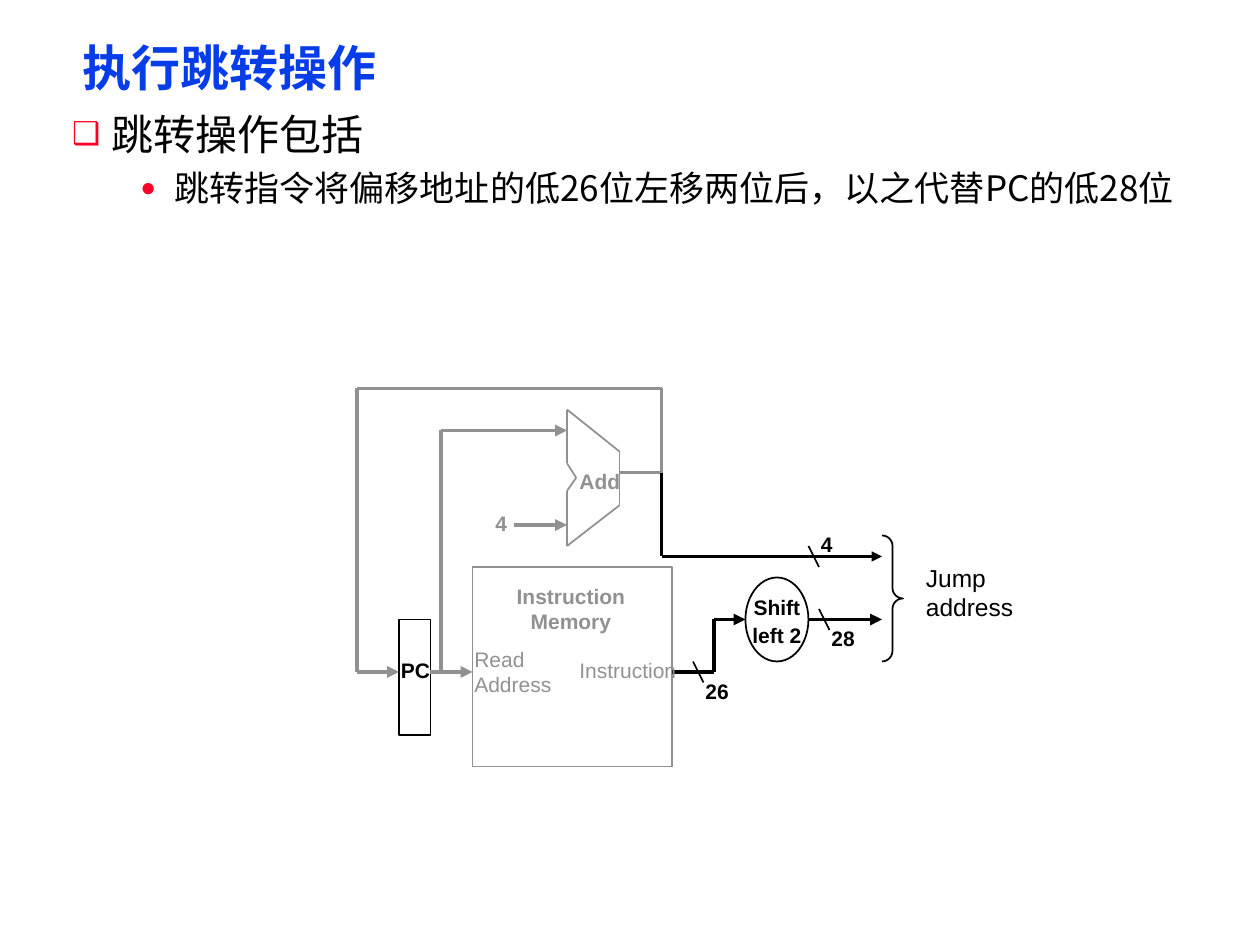
from dataclasses import dataclass
from itertools import pairwise
from typing import Optional

from lxml import etree
from pptx import Presentation
from pptx.dml.color import RGBColor
from pptx.enum.shapes import MSO_CONNECTOR, MSO_SHAPE
from pptx.enum.text import MSO_ANCHOR, MSO_AUTO_SIZE, PP_ALIGN
from pptx.oxml.ns import qn
from pptx.util import Emu, Pt

STRAIGHT = MSO_CONNECTOR.STRAIGHT
RECTANGLE, OVAL, BRACE = MSO_SHAPE.RECTANGLE, MSO_SHAPE.OVAL, MSO_SHAPE.RIGHT_BRACE
LEFT, CENTER = PP_ALIGN.LEFT, PP_ALIGN.CENTER
TOP, MIDDLE = MSO_ANCHOR.TOP, MSO_ANCHOR.MIDDLE
GROW, FIXED = MSO_AUTO_SIZE.SHAPE_TO_FIT_TEXT, MSO_AUTO_SIZE.NONE
EMU_PER_PX = 9525
GRAY, BLACK, BLUE, RED = "919191", "000000", "063DE8", "FC0128"
LATIN_FONT, CHINESE_FONT = "Arial", "Noto Sans CJK SC"


@dataclass(frozen=True)
class Line:
    text: str
    size: int = 12
    color: str = BLACK
    bold: bool = False
    font: str = LATIN_FONT
    align: PP_ALIGN = LEFT
    spacing: Optional[float] = None
    before: int = 0
    bullet: str = ""
    level: int = 0
    margin: int = 0
    hanging: int = 0


@dataclass(frozen=True)
class TextBox:
    box: tuple[int, int, int, int]
    lines: tuple[Line, ...]
    insets: Optional[tuple[int, int]] = None
    wrap: bool = False
    anchor: MSO_ANCHOR = TOP
    auto_size: MSO_AUTO_SIZE = FIXED


@dataclass(frozen=True)
class Wire:
    points: tuple[tuple[int, int], ...]
    color: str = BLACK
    width: float = 2.25
    arrow: bool = False


@dataclass(frozen=True)
class Block:
    kind: MSO_SHAPE
    box: tuple[int, int, int, int]
    color: str = BLACK


def px(value: int) -> Emu:
    return Emu(value * EMU_PER_PX)


def rgb(color: str) -> RGBColor:
    return RGBColor.from_string(color)


def set_values(target, values: dict) -> None:
    for name, value in values.items():
        setattr(target, name, value)


def set_outline(shape, color: str, width: float) -> None:
    shape.line.color.rgb = rgb(color)
    shape.line.width = Pt(width)


def add_bullet(paragraph, line: Line) -> None:
    properties = paragraph._p.get_or_add_pPr()
    properties.set("marL", str(px(line.margin)))
    properties.set("indent", str(-px(line.hanging)))
    color = etree.SubElement(properties, qn("a:buClr"))
    etree.SubElement(color, qn("a:srgbClr"), val=RED)
    etree.SubElement(properties, qn("a:buSzPct"), val="75000")
    etree.SubElement(properties, qn("a:buFont"), typeface=LATIN_FONT)
    etree.SubElement(properties, qn("a:buChar"), char=line.bullet)


def write_line(paragraph, line: Line) -> None:
    if line.bullet:
        add_bullet(paragraph, line)
    set_values(paragraph, {
        "alignment": line.align, "line_spacing": line.spacing,
        "space_before": Pt(line.before), "level": line.level,
    })
    run = paragraph.add_run()
    run.text = line.text
    set_values(run.font, {"name": line.font, "size": Pt(line.size), "bold": line.bold})
    run.font.color.rgb = rgb(line.color)
    if not line.text.isascii():
        etree.SubElement(run._r.get_or_add_rPr(), qn("a:ea"), typeface=CHINESE_FONT)


def draw_text(slide, item: TextBox) -> None:
    frame = slide.shapes.add_textbox(*map(px, item.box)).text_frame
    set_values(frame, {
        "word_wrap": item.wrap, "vertical_anchor": item.anchor,
        "auto_size": item.auto_size,
    })
    if item.insets:
        side, edge = map(px, item.insets)
        set_values(frame, {
            "margin_left": side, "margin_right": side,
            "margin_top": edge, "margin_bottom": edge,
        })
    for index, line in enumerate(item.lines):
        paragraph = frame.add_paragraph() if index else frame.paragraphs[0]
        write_line(paragraph, line)


def draw_wire(slide, wire: Wire) -> None:
    for start, end in pairwise(wire.points):
        connector = slide.shapes.add_connector(STRAIGHT, *map(px, start + end))
        set_outline(connector, wire.color, wire.width)
        etree.SubElement(connector._element.spPr, qn("a:effectLst"))
        if wire.arrow and end == wire.points[-1]:
            etree.SubElement(connector.line._get_or_add_ln(), qn("a:tailEnd"), type="triangle")


def draw_block(slide, block: Block) -> None:
    shape = slide.shapes.add_shape(block.kind, *map(px, block.box))
    shape.shadow.inherit = False
    shape.fill.background()
    set_outline(shape, block.color, 1)
    if block.kind == BRACE:
        shape.adjustments[0] = 0.5


def label(left: int, top: int, width: int, height: int, *texts: str, **style) -> TextBox:
    return TextBox((left, top, width, height), tuple(Line(text, **style) for text in texts))


ADDER_CORNERS = ((432, 312), (472, 344), (472, 385), (432, 416),
                 (432, 374), (439, 364), (432, 353))
BLOCKS = (
    Block(RECTANGLE, (360, 432, 152, 152), GRAY),
    Block(RECTANGLE, (304, 472, 24, 88)),
    Block(OVAL, (568, 440, 48, 64)),
    Block(BRACE, (672, 408, 16, 96)),
)
BUS_TICKS = ((616, 416), (528, 504), (624, 464))
WIRES = (
    Wire(ADDER_CORNERS + ADDER_CORNERS[:1], GRAY, 1),
    Wire(((328, 512), (360, 512)), GRAY, arrow=True),
    Wire(((336, 512), (336, 328), (432, 328)), GRAY, arrow=True),
    Wire(((392, 400), (432, 400)), GRAY, arrow=True),
    Wire(((472, 360), (504, 360), (504, 296), (272, 296), (272, 512), (304, 512)),
         GRAY, arrow=True),
    Wire(((512, 512), (544, 512), (544, 472), (568, 472)), arrow=True),
    Wire(((616, 472), (672, 472)), arrow=True),
    Wire(((504, 360), (504, 424), (672, 424)), width=1.5, arrow=True),
    *(Wire(((x, y), (x + 8, y + 16)), width=1) for x, y in BUS_TICKS),
)
TEXTS = (
    TextBox((56, 32, 856, 44),
            (Line("执行跳转操作", 28, BLUE, True, spacing=0.87),),
            (7, 3), True, MIDDLE, GROW),
    TextBox((48, 80, 856, 83), (
        Line("跳转操作包括", 24, font=CHINESE_FONT, spacing=1.0,
             bullet="❑", margin=30, hanging=30),
        Line("跳转指令将偏移地址的低26位左移两位后，以之代替PC的低28位", 20,
             font=CHINESE_FONT, spacing=1.0, before=4, bullet="●",
             level=1, margin=78, hanging=26),
    ), (7, 3), True),
    label(352, 488, 78, 48, "Read", "Address", color=GRAY),
    label(432, 496, 93, 29, "Instruction", color=GRAY),
    label(384, 440, 102, 48, "Instruction", "Memory", color=GRAY, bold=True, align=CENTER),
    label(432, 352, 51, 29, "Add", color=GRAY, bold=True),
    label(296, 496, 41, 29, "PC", bold=True),
    label(368, 384, 28, 29, "4", color=GRAY, bold=True),
    label(696, 424, 85, 55, "Jump", "address", size=14),
    label(528, 512, 37, 29, "26", bold=True),
    label(616, 400, 28, 29, "4", bold=True),
    label(624, 472, 37, 29, "28", bold=True),
    TextBox((568, 448, 48, 48),
            tuple(Line(text, bold=True, align=CENTER, spacing=Pt(16))
                  for text in ("Shift", "left 2")),
            (2, 3)),
)


def main() -> None:
    presentation = Presentation()
    set_values(presentation, {"slide_width": px(960), "slide_height": px(720)})
    slide = presentation.slides.add_slide(presentation.slide_layouts[6])
    for draw, items in ((draw_block, BLOCKS), (draw_wire, WIRES), (draw_text, TEXTS)):
        for item in items:
            draw(slide, item)
    presentation.save("out.pptx")


if __name__ == "__main__":
    main()
